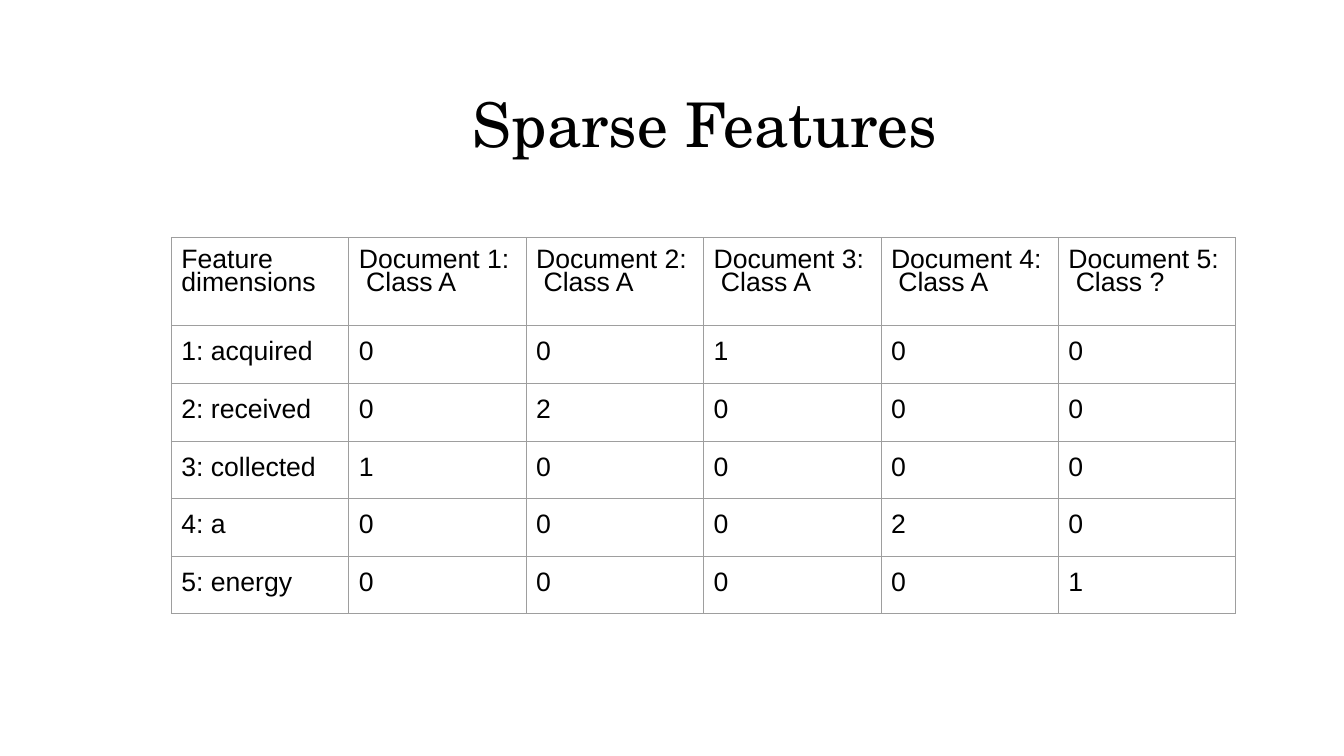
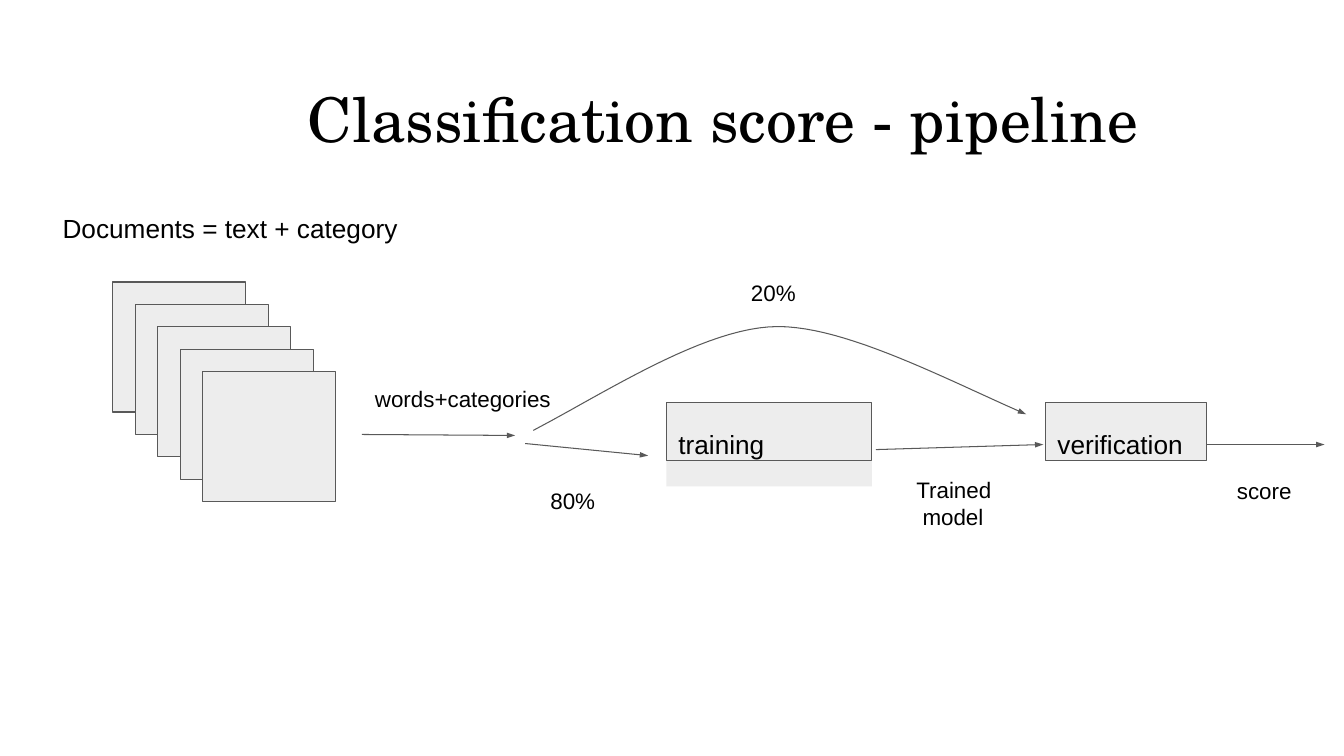
"""Two slides: a sparse feature table and a classification pipeline."""
import pptx
import pptx.dml.color
import pptx.enum.shapes
import pptx.enum.text
import pptx.oxml
import pptx.oxml.ns
import pptx.util

COLORS = {"text": "000000", "box": "EDEDED", "line": "595959", "grid": "9E9E9E"}
RGB = {name: pptx.dml.color.RGBColor.from_string(c) for name, c in COLORS.items()}
NS = pptx.oxml.ns.nsdecls("a")
RECT = pptx.enum.shapes.MSO_SHAPE.RECTANGLE
STRAIGHT = pptx.enum.shapes.MSO_CONNECTOR.STRAIGHT
ALIGN = pptx.enum.text.PP_ALIGN
ANCHOR = pptx.enum.text.MSO_ANCHOR
LINE_WIDTH = pptx.util.Pt(0.75)

prs = pptx.Presentation()
prs.slide_width = pptx.util.Inches(13.33)
prs.slide_height = pptx.util.Inches(7.5)


def share(*values):
    """Turn alternating x and y percentages of the slide into lengths."""
    sides = (prs.slide_width, prs.slide_height)
    return [round(sides[i % 2] * v / 100) for i, v in enumerate(values)]


def write(tf, text, size, left=0.02, top=0.04, font="Arial", align=ALIGN.LEFT,
          anchor=ANCHOR.TOP, spacing=None):
    """Fill a text frame with one formatted paragraph."""
    frame = {"word_wrap": True, "vertical_anchor": anchor,
             "margin_left": pptx.util.Inches(left), "margin_top": pptx.util.Inches(top),
             "margin_right": 0, "margin_bottom": 0}
    for name, value in frame.items():
        setattr(tf, name, value)
    p = tf.paragraphs[0]
    p.text = text
    p.alignment = align
    if spacing:
        p.line_spacing = pptx.util.Pt(spacing)
    for r in p.runs:
        for name, value in {"name": font, "size": pptx.util.Pt(size), "bold": False}.items():
            setattr(r.font, name, value)
        r.font.color.rgb = RGB["text"]


slides = []
for text, box in (("Sparse Features", (31.28, 10.93, 42.23, 10.13)),
                  ("Classification score - pipeline", (21.68, 10.27, 64.13, 10.13))):
    slide = prs.slides.add_slide(prs.slide_layouts[5])
    title = slide.shapes.title
    for name, value in zip(("left", "top", "width", "height"), share(*box)):
        setattr(title, name, value)
    write(title.text_frame, text, 44, font="TeX Gyre Schola", align=ALIGN.CENTER,
          anchor=ANCHOR.MIDDLE)
    title.text_frame.auto_size = pptx.enum.text.MSO_AUTO_SIZE.NONE
    slides.append(slide)
features, pipeline = slides

classes = "AAAA?"
rows = [["Feature\vdimensions"]
        + [f"Document {n}:\v Class {c}" for n, c in enumerate(classes, 1)]]
for n, (word, counts) in enumerate((("acquired", "00100"), ("received", "02000"),
                                    ("collected", "10000"), ("a", "00020"),
                                    ("energy", "00001")), 1):
    rows.append([f"{n}: {word}", *counts])

col_width, row_height = share(13.2, 7.62)
header_height = share(0, 11.64)[1]
table = features.shapes.add_table(len(rows), len(rows[0]),
                                  *share(12.75, 31.47, 79.2, 49.74)).table
table.first_row = table.horz_banding = False
for col in table.columns:
    col.width = col_width
for i, row in enumerate(rows):
    table.rows[i].height = row_height if i else header_height
    for j, text in enumerate(row):
        cell = table.cell(i, j)
        write(cell.text_frame, text, 19, spacing=None if i else 16.5)
        for name, inset in {"left": 0.1, "top": 0.11 if i else 0.13,
                            "right": 0, "bottom": 0}.items():
            setattr(cell, f"margin_{name}", pptx.util.Inches(inset))
        cell.vertical_anchor = ANCHOR.TOP
        tcPr = cell._tc.get_or_add_tcPr()
        for side in "LRTB":
            tcPr.append(pptx.oxml.parse_xml(
                f'<a:ln{side} {NS} w="{LINE_WIDTH}"><a:solidFill>'
                f'<a:srgbClr val="{COLORS["grid"]}"/></a:solidFill></a:ln{side}>'))
        cell.fill.background()

boxes = [(8.4 + 1.67 * n, 37.3 + 2.97 * n, 9.9, 17.2, True, True, "") for n in range(5)]
boxes += [(49.58, 53.2, 15.3, 11.15, True, False, ""),
          (49.58, 53.2, 15.3, 7.73, False, True, "training"),
          (77.78, 53.2, 12, 7.73, True, True, "verification")]
for x, y, w, h, filled, outlined, text in boxes:
    sp = pipeline.shapes.add_shape(RECT, *share(x, y, w, h))
    sp.shadow.inherit = False
    for part, shown, color in ((sp.fill, filled, "box"), (sp.line.fill, outlined, "line")):
        if shown:
            part.solid()
            part.fore_color.rgb = RGB[color]
        else:
            part.background()
    if outlined:
        sp.line.width = LINE_WIDTH
    if text:
        write(sp.text_frame, text, 18.7, left=0.12, top=0.26)

for text, box, size, spacing in (
        ("Documents = text + category", (4.5, 27.6, 26, 4.4), 18.7, None),
        ("words+categories", (27.75, 50.4, 14, 3.87), 16, None),
        ("20%", (55.73, 36.4, 4, 3.87), 16, None),
        ("80%", (40.8, 63.87, 4, 3.87), 16, None),
        ("Trained\v model", (68.03, 62.53, 6.3, 7.47), 16, 18.9),
        ("score", (91.88, 62.53, 4.8, 3.87), 16, None)):
    sp = pipeline.shapes.add_textbox(*share(*box))
    write(sp.text_frame, text, size, spacing=spacing)

arrows = [pipeline.shapes.add_connector(STRAIGHT, *share(*ends)) for ends in (
    (26.93, 57.47, 38.33, 57.6), (39.08, 58.67, 48.23, 60.27),
    (65.18, 59.47, 77.63, 58.8), (89.78, 58.8, 98.55, 58.8))]

points = []
for controls in (((39.68, 56.93), (45, 52), (52.5, 43.2), (57.9, 43.2)),
                 ((57.9, 43.2), (63, 43.2), (70.5, 50.27), (76.35, 54.8))):
    for step in range(25):
        t = step / 24
        weights = ((1 - t) ** 3, 3 * t * (1 - t) ** 2, 3 * t * t * (1 - t), t ** 3)
        points.append(share(*(sum(k * v for k, v in zip(weights, axis))
                              for axis in zip(*controls))))
curve = pipeline.shapes.build_freeform(*points[0])
curve.add_line_segments(points[1:], close=False)
bypass = curve.convert_to_shape()
bypass.fill.background()

for sp in arrows + [bypass]:
    sp.line.color.rgb = RGB["line"]
    sp.line.width = LINE_WIDTH
    sp.get_or_add_ln().append(pptx.oxml.parse_xml(
        f'<a:tailEnd {NS} type="triangle" w="sm" len="med"/>'))
    sp._element.spPr.append(pptx.oxml.parse_xml(f"<a:effectLst {NS}/>"))

prs.save("out.pptx")
